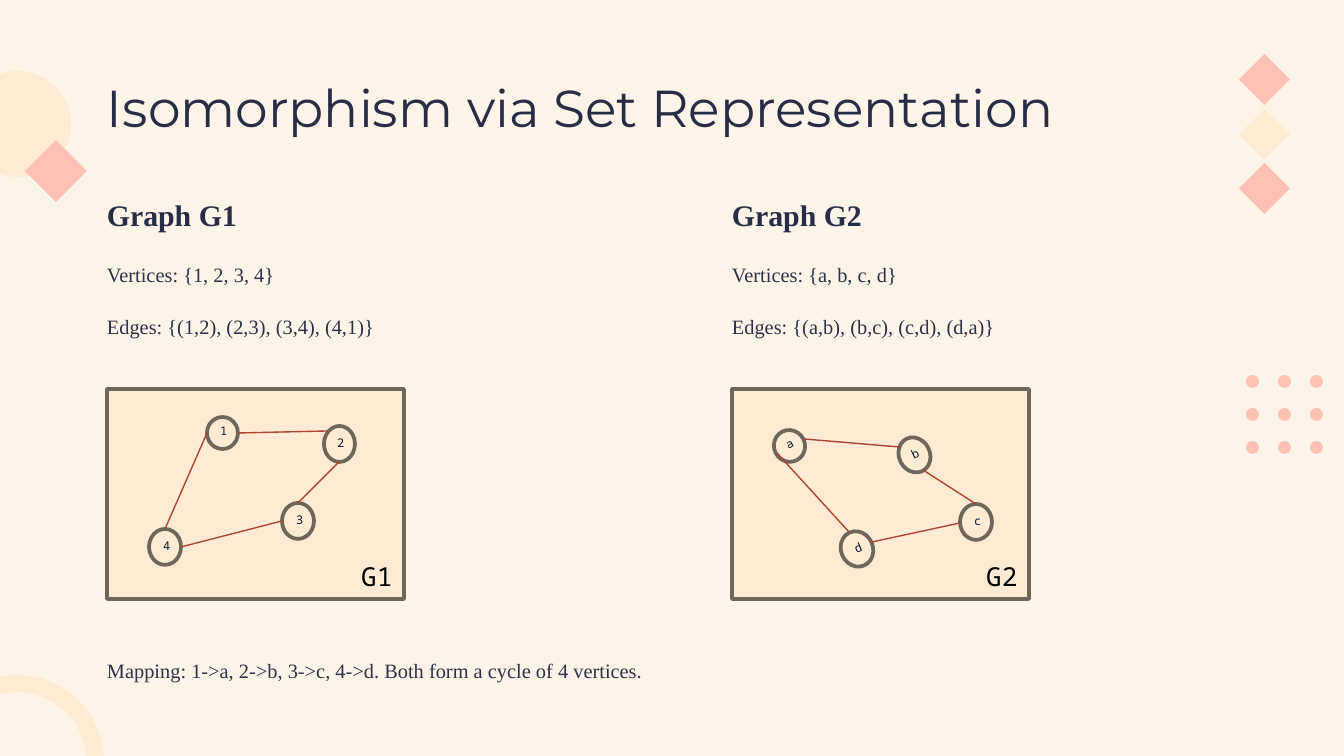
"""Build the slide on graph isomorphism via set representation."""
from pptx import Presentation, util as u
from pptx.dml.color import RGBColor
from pptx.enum import shapes, text
from pptx.oxml.ns import qn
from lxml import etree

PX = u.Inches(10) / 1344
CREAM = RGBColor(0xFF, 0xF4, 0xE9)
PEACH = RGBColor(0xFF, 0xEA, 0xD3)
PINK = RGBColor(0xFF, 0xC1, 0xB4)
NAVY = RGBColor(0x27, 0x2D, 0x45)
SLATE = RGBColor(0x2C, 0x32, 0x49)
INK = RGBColor(0x09, 0x1B, 0x2E)
BLACK = RGBColor(0, 0, 0)
TAUPE = RGBColor(0x70, 0x67, 0x5C)
RUST = RGBColor(0xB0, 0x46, 0x2D)
KIND = shapes.MSO_SHAPE
SERIF, MONO = "Times New Roman", "Noto Sans Mono"


def add_shape(kind, box, fill, line=None):
    sp = s.shapes.add_shape(kind, *[round(v * PX) for v in box])
    sp.shadow.inherit = False
    sp.fill.solid()
    sp.fill.fore_color.rgb = fill
    if line is None:
        sp.line.fill.background()
    else:
        sp.line.color.rgb = line
        sp.line.width = u.Pt(2)
    return sp


def write(sp, words, size, font, color, bold=False, leading=None):
    tf = sp.text_frame
    p = tf.paragraphs[0]
    if leading:
        tf.margin_left = tf.margin_top = tf.margin_right = tf.margin_bottom = 0
        tf.word_wrap = True
        tf.vertical_anchor = text.MSO_ANCHOR.TOP
        p.alignment = text.PP_ALIGN.LEFT
        p.line_spacing = u.Pt(leading)
    r = p.add_run()
    r.text = words
    r.font.size = u.Pt(size)
    r.font.name = font
    r.font.bold = bold
    r.font.color.rgb = color
    return r


prs = Presentation()
prs.slide_width, prs.slide_height = round(1344 * PX), round(756 * PX)
s = prs.slides.add_slide(prs.slide_layouts[5])
s.background.fill.solid()
s.background.fill.fore_color.rgb = CREAM

add_shape(KIND.OVAL, (-35, 71, 106, 106), PEACH)
add_shape(KIND.DIAMOND, (25, 140, 62, 62), PINK)
for col in range(3):
    for row in range(3):
        add_shape(KIND.OVAL, (1246 + 32 * col, 375 + 33 * row, 13, 13), PINK)
arc = add_shape(KIND.BLOCK_ARC, (-69, 675, 173, 173), PEACH)
arc.adjustments[2] = 0.1
for y, color in ((54, PINK), (109, PEACH), (163, PINK)):
    add_shape(KIND.DIAMOND, (1239, y, 51, 51), color)

title = s.shapes.title
title.left, title.top, title.width, title.height = [round(v * PX) for v in (107, 73, 1079, 109)]
title.text_frame.auto_size = text.MSO_AUTO_SIZE.NONE
write(title, "Isomorphism via Set Representation", 27.8, "Montserrat", NAVY, leading=34.7)

graphs = [
    ("G1", 107, "{1, 2, 3, 4}", "{(1,2), (2,3), (3,4), (4,1)}",
     [("1", 207, 417, 31, 32, 0), ("2", 324, 426, 31, 36, 0),
      ("3", 282, 503, 32, 36, 0), ("4", 149, 529, 32, 36, 0)],
     [(165, 529, 207, 433), (238, 433, 328, 431),
      (339, 462, 298, 503), (181, 547, 282, 521)]),
    ("G2", 732, "{a, b, c, d}", "{(a,b), (b,c), (c,d), (d,a)}",
     [("a", 774, 430, 31, 32, 333.3), ("b", 899, 437, 31, 36, 334.1),
      ("c", 960, 504, 32, 36, 0), ("d", 841, 531, 32, 36, 336.5)],
     [(849, 532, 777, 453), (804, 439, 899, 447),
      (923, 470, 976, 504), (872, 542, 960, 523)]),
]
lines = [("Mapping: 1->a, 2->b, 3->c, 4->d. Both form a cycle of 4 vertices.",
          (107, 649, 1028, 34), 10.9, SLATE, False, 17.8)]
for name, x, vertices, edges, nodes, links in graphs:
    lines += [
        (f"Graph {name}", (x, 200, 183, 43), 16, NAVY, True, 17.2),
        (f"Vertices: {vertices}", (x, 253, 403, 44), 10.9, SLATE, False, 17.8),
        (f"Edges: {edges}", (x, 305, 403, 44), 10.9, SLATE, False, 17.8),
    ]
for words, box, size, color, bold, leading in lines:
    sp = s.shapes.add_textbox(*[round(v * PX) for v in box])
    write(sp, words, size, SERIF, color, bold, leading)

for name, x, vertices, edges, nodes, links in graphs:
    add_shape(KIND.RECTANGLE, (x, 389, 297, 210), PEACH, TAUPE)
    for label, left, top, width, height, turn in nodes:
        node = add_shape(KIND.OVAL, (left, top, width, height), PEACH, TAUPE)
        node.rotation = turn
        node.text_frame.vertical_anchor = text.MSO_ANCHOR.BOTTOM
        node.text_frame.paragraphs[0].alignment = text.PP_ALIGN.CENTER
        r = write(node, label, 11, MONO, INK)
        r.font._element.set("baseline", "-25000")
        r.font._element.set("spc", "-300")
    for link in links:
        edge = s.shapes.add_connector(shapes.MSO_CONNECTOR.STRAIGHT, *[round(v * PX) for v in link])
        edge.line.color.rgb = RUST
        edge.line.width = u.Pt(0.75)
        etree.SubElement(edge._element.spPr, qn("a:effectLst"))
    tag = s.shapes.add_textbox(*[round(v * PX) for v in (x + 241, 554, 62, 46)])
    tag.text_frame.word_wrap = True
    write(tag, name, 14, MONO, BLACK)

prs.save("out.pptx")
